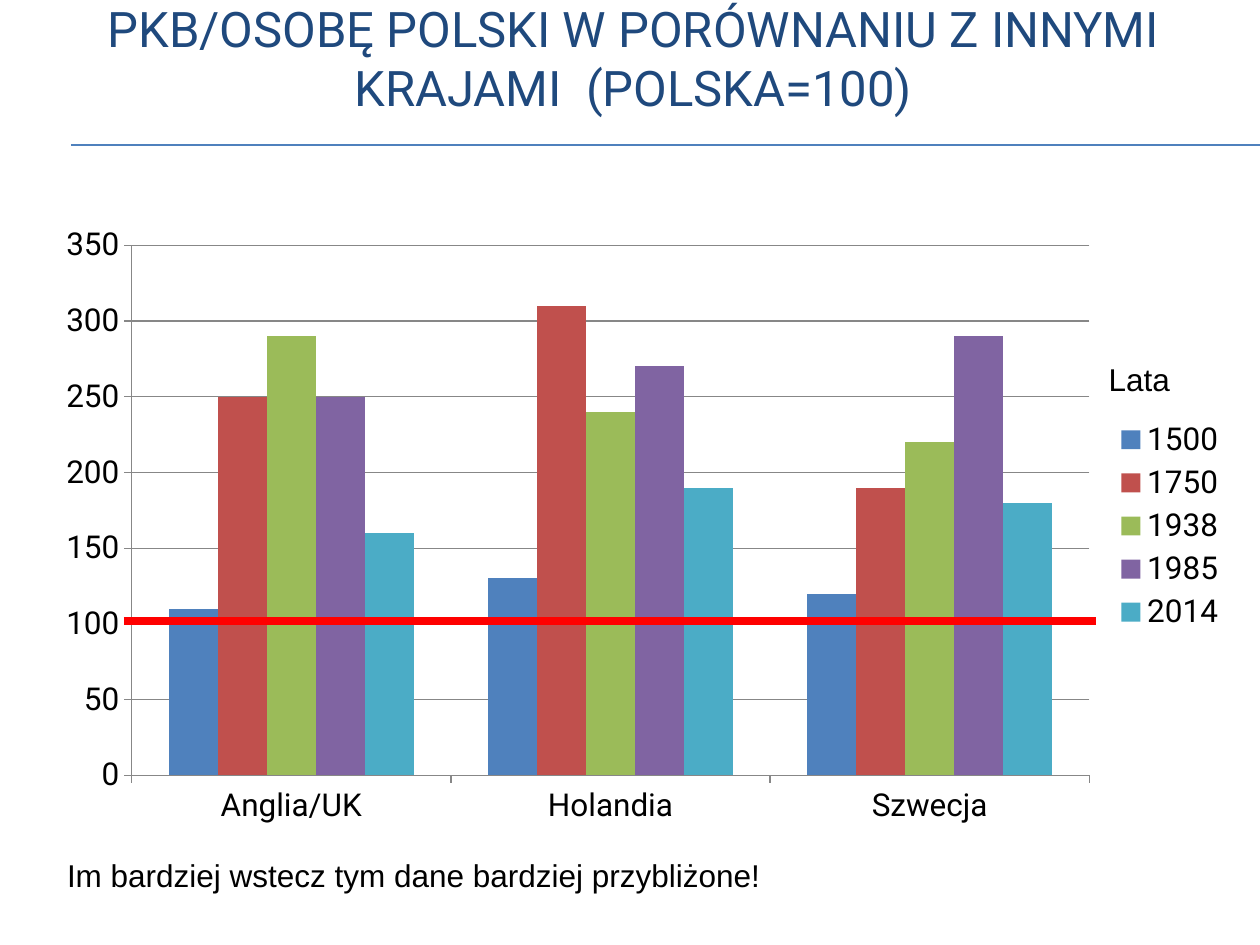
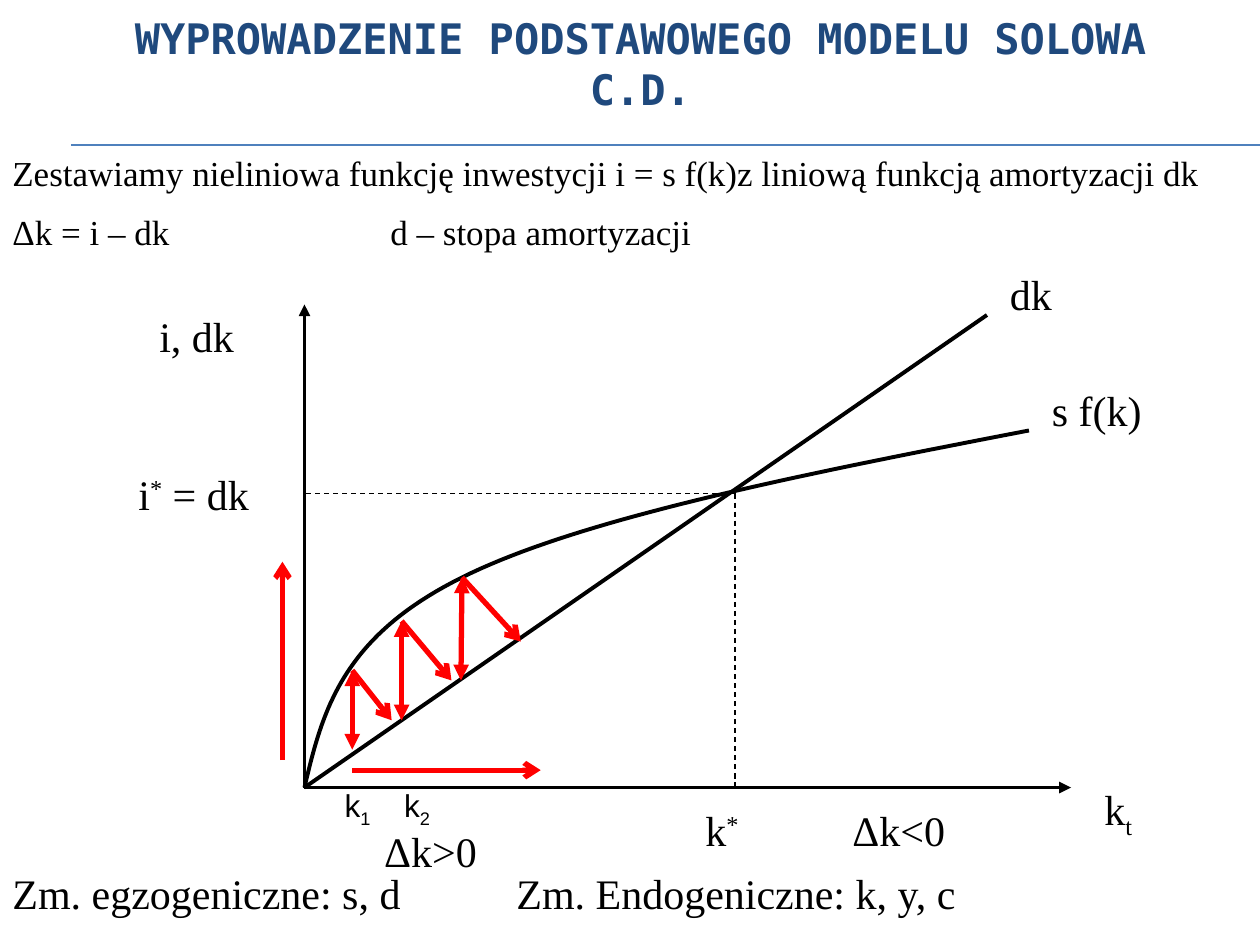
from lxml.etree import SubElement, fromstring
from pptx import Presentation
from pptx.chart.data import CategoryChartData
from pptx.dml.color import RGBColor
from pptx.enum.chart import XL_CHART_TYPE as ChartType, XL_LEGEND_POSITION as LegendPosition
from pptx.enum.chart import XL_TICK_MARK as TickMark
from pptx.enum.dml import MSO_LINE as Dash
from pptx.enum.shapes import MSO_CONNECTOR as Connector
from pptx.enum.text import MSO_ANCHOR as Anchor, MSO_AUTO_SIZE as AutoSize, PP_ALIGN as Align
from pptx.oxml.ns import qn
from pptx.util import Inches, Pt

NAVY = RGBColor(0x1F, 0x49, 0x7D)
BLUE = RGBColor(0x4F, 0x81, 0xBD)
BRICK = RGBColor(0xC0, 0x50, 0x4D)
GREEN = RGBColor(0x9B, 0xBB, 0x59)
PURPLE = RGBColor(0x80, 0x64, 0xA2)
TEAL = RGBColor(0x4B, 0xAC, 0xC6)
GRAY = RGBColor(0x87, 0x87, 0x87)
RED = RGBColor(0xFF, 0, 0)
BLACK = RGBColor(0, 0, 0)

SERIF = "Times New Roman"
SANS = "Arial"
CHART_FONT = "Roboto"
COLUMNS, ROWS = 120, 90
TAB_STEP = Inches(1)

deck = Presentation()
deck.slide_width, deck.slide_height = Inches(10), Inches(7.5)
CELL = deck.slide_width // COLUMNS


def fill_text(box, place, lines, font, size, color=BLACK, bold=False):
    box.left, box.top, box.width, box.height = [round(value * CELL) for value in place]
    frame = box.text_frame
    frame.word_wrap = True
    frame.auto_size = AutoSize.NONE
    for index, spans in enumerate(lines):
        para = frame.add_paragraph() if index else frame.paragraphs[0]
        para._p.get_or_add_pPr().set("defTabSz", str(TAB_STEP))
        if index:
            para.space_before = Pt(size * 0.5)
        for text, baseline in spans:
            span = para.add_run()
            span.text = text
            span.font.name, span.font.size, span.font.bold = font, Pt(size), bold
            span.font.color.rgb = color
            if baseline:
                span._r.get_or_add_rPr().set("baseline", str(baseline * 1000))


def draw_line(page, start, end, color, width, head=None, tail=None, dash=None):
    ends = [round(value * CELL) for value in (*start, *end)]
    line = page.shapes.add_connector(Connector.STRAIGHT, *ends)
    line.line.color.rgb, line.line.width = color, Pt(width)
    if dash:
        line.line.dash_style = dash
    outline = line.line._get_or_add_ln()
    for tag, arrow in (("a:headEnd", head), ("a:tailEnd", tail)):
        if arrow:
            SubElement(outline, qn(tag), type=arrow)
    SubElement(line._element.spPr, qn("a:effectLst"))


titles = [
    ("PKB/OSOBĘ POLSKI W PORÓWNANIU Z INNYMI KRAJAMI  (POLSKA=100)",
     (3.3, 0, 114, 11), "Roboto", 28, False),
    ("WYPROWADZENIE PODSTAWOWEGO MODELU SOLOWA C.D.",
     (10, 0, 102, 12), "DejaVu Sans Mono", 24, True),
]
pages = []
for text, place, font, size, bold in titles:
    page = deck.slides.add_slide(deck.slide_layouts[5])
    for row in (13.8, 13.87):
        draw_line(page, (6.75, row), (COLUMNS, row), BLUE, 0.75)
    title = page.shapes.title
    fill_text(title, place, [[(text, 0)]], font, size, NAVY, bold)
    title.text_frame.vertical_anchor = Anchor.MIDDLE
    title.text_frame.paragraphs[0].alignment = Align.CENTER
    pages.append(page)
gdp_page, solow_page = pages

gdp_by_year = [
    ("1500", (110, 130, 120), BLUE),
    ("1750", (250, 310, 190), BRICK),
    ("1938", (290, 240, 220), GREEN),
    ("1985", (250, 270, 290), PURPLE),
    ("2014", (160, 190, 180), TEAL),
]
data = CategoryChartData()
data.categories = ["Anglia/UK", "Holandia", "Szwecja"]
for year, values, color in gdp_by_year:
    data.add_series(year, values)
chart_place = [round(value * CELL) for value in (4, 20.4, 114, 59.4)]
chart = gdp_page.shapes.add_chart(ChartType.COLUMN_CLUSTERED, *chart_place, data).chart
chart.has_title = False
chart.font.name, chart.font.size = CHART_FONT, Pt(18)
chart.font.color.rgb = BLACK
chart.has_legend = True
chart.legend.position = LegendPosition.RIGHT
chart.legend.include_in_layout = False
plot = chart.plots[0]
plot.gap_width, plot.overlap, plot.vary_by_categories = 150, 0, False
for series, (year, values, color) in zip(plot.series, gdp_by_year):
    series.format.fill.solid()
    series.format.fill.fore_color.rgb = color
    series.invert_if_negative = False
for axis in (chart.category_axis, chart.value_axis):
    axis.major_tick_mark = TickMark.OUTSIDE
    axis.format.line.color.rgb = GRAY
chart.value_axis.minimum_scale, chart.value_axis.maximum_scale = 0, 350
chart.value_axis.major_unit = 50
chart.value_axis.has_major_gridlines = True
chart.value_axis.major_gridlines.format.line.color.rgb = GRAY

plot_area = chart._chartSpace.chart.plotArea
for old_layout in plot_area.findall(qn("c:layout")):
    plot_area.remove(old_layout)
namespace = "http://schemas.openxmlformats.org/drawingml/2006/chart"
layout = fromstring(
    f'<c:layout xmlns:c="{namespace}"><c:manualLayout><c:layoutTarget val="inner"/>'
    '<c:xMode val="edge"/><c:yMode val="edge"/><c:x val="0.075"/><c:y val="0.05"/>'
    '<c:w val="0.8"/><c:h val="0.85"/></c:manualLayout></c:layout>')
plot_area.insert(0, layout)

draw_line(gdp_page, (11.8, 59.15), (104.4, 59.15), RED, 4.5)

ORIGIN, CROSSING = (29, 75), (70, 47)
draw_line(solow_page, ORIGIN, (94, 30), BLACK, 2.25)
draw_line(solow_page, ORIGIN, (29, 29), BLACK, 2.25, tail="triangle")
draw_line(solow_page, ORIGIN, (102, 75), BLACK, 2.25, tail="triangle")
for foot in ((CROSSING[0], ORIGIN[1]), (ORIGIN[0], CROSSING[1])):
    draw_line(solow_page, CROSSING, foot, BLACK, 0.75, dash=Dash.DASH)

STEPS = 40
arcs = [
    (ORIGIN, (30.7, 67.8), (32.5, 60.7), (44, 55)),
    ((44, 55), (55.4, 49.3), (76.8, 45.1), (98, 41)),
]
curve_points = []
for arc in arcs:
    for step in range(1, STEPS + 1):
        t = step / STEPS
        weights = ((1 - t) ** 3, 3 * t * (1 - t) ** 2, 3 * t * t * (1 - t), t ** 3)
        curve_points.append([round(CELL * sum(weight * point[side] for weight, point in zip(weights, arc)))
                             for side in (0, 1)])
builder = solow_page.shapes.build_freeform(ORIGIN[0] * CELL, ORIGIN[1] * CELL)
builder.add_line_segments(curve_points, close=False)
investment = builder.convert_to_shape()
investment.shadow.inherit = False
investment.fill.background()
investment.line.color.rgb, investment.line.width = BLACK, Pt(2.25)

adjustments = [
    ((33.55, 71.4), (33.55, 63.85), (37.3, 68.6)),
    ((38.25, 68.6), (38.25, 59.15), (43, 64.8)),
    ((43.9, 64.8), (44, 55), (49.6, 61.1)),
]
for depreciation, peak, landing in adjustments:
    draw_line(solow_page, depreciation, peak, RED, 3, head="triangle", tail="triangle")
    draw_line(solow_page, peak, landing, RED, 3, tail="arrow")
draw_line(solow_page, (33.55, 73.35), (51.5, 73.35), RED, 3, tail="arrow")
draw_line(solow_page, (26.9, 72.4), (26.9, 53.5), RED, 3, tail="arrow")

captions = [
    (gdp_page, (104.4, 33.7, 12.7, 4.8), [[("Lata", 0)]], SANS, 18),
    (gdp_page, (5.2, 80.9, 112.4, 4.8),
     [[("Im bardziej wstecz tym dane bardziej przybliżone!", 0)]], SANS, 18),
    (solow_page, (0, 13.8, COLUMNS, 11.3),
     [[("Zestawiamy nieliniowa funkcję inwestycji i = s f(k)z liniową funkcją amortyzacji dk", 0)],
      [("Δk = i – dk\t\td – stopa amortyzacji", 0)]], SERIF, 20),
    (solow_page, (95, 25, 15, 6), [[("dk", 0)]], SERIF, 24),
    (solow_page, (99, 36, 18, 6), [[("s f(k)", 0)]], SERIF, 24),
    (solow_page, (104, 74, 9, 6), [[("k", 0), ("t", -25)]], SERIF, 24),
    (solow_page, (14, 29, 11, 6), [[("i, dk", 0)]], SERIF, 24),
    (solow_page, (12, 44, 16, 6), [[("i", 0), ("*", 30), (" = dk", 0)]], SERIF, 24),
    (solow_page, (66, 76, 7, 6), [[("k", 0), ("*", 30)]], SERIF, 24),
    (solow_page, (35.4, 78.05, 19, 6), [[("Δk>0", 0)]], SERIF, 24),
    (solow_page, (80, 76, 17, 6), [[("Δk<0", 0)]], SERIF, 24),
    (solow_page, (0, 82, 111, 6),
     [[("Zm. egzogeniczne: s, d\tZm. Endogeniczne: k, y, c", 0)]], SERIF, 24),
    (solow_page, (31.65, 74.3, 7.6, 4.8), [[("k", 0), ("1", -25)]], SANS, 18),
    (solow_page, (37.3, 74.3, 7.6, 4.8), [[("k", 0), ("2", -25)]], SANS, 18),
]
for page, place, lines, font, size in captions:
    fill_text(page.shapes.add_textbox(0, 0, CELL, CELL), place, lines, font, size)

deck.save("out.pptx")
